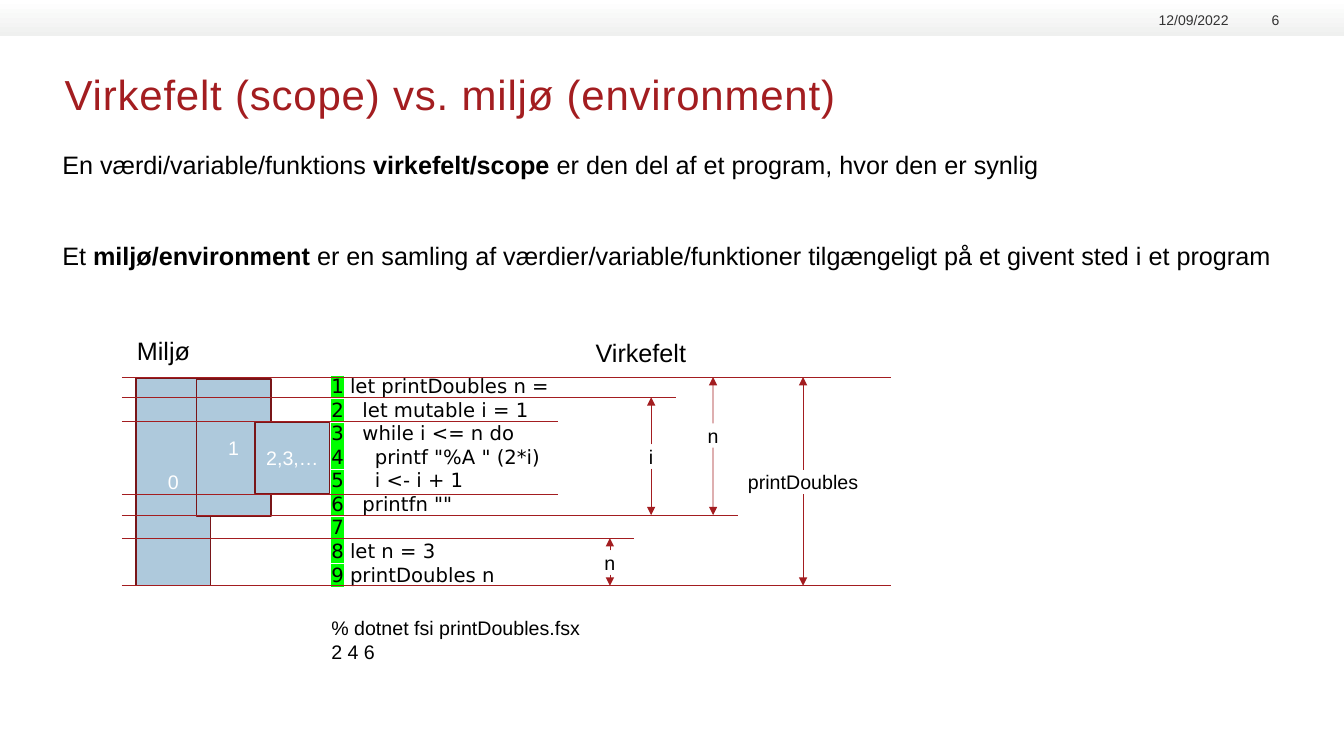
from lxml import etree
from pptx import Presentation
from pptx import util as u
from pptx.dml.color import RGBColor
from pptx.enum import shapes, text
from pptx.oxml import ns

Cm, Pt = u.Cm, u.Pt
LEFT, MID, RIGHT = text.PP_ALIGN.LEFT, text.PP_ALIGN.CENTER, text.PP_ALIGN.RIGHT
TOP, CORE, LOW = (text.MSO_ANCHOR.TOP, text.MSO_ANCHOR.MIDDLE,
                  text.MSO_ANCHOR.BOTTOM)
INK = {"red": "A31D20", "edge": "791518", "blue": "AEC9DC", "grey": "333333",
       "black": "000000", "white": "FFFFFF", "pale": "EFF0EF", "mark": "00FF00"}

CODE = ['1 let printDoubles n =', '2   let mutable i = 1',
        '3   while i <= n do', '4     printf "%A " (2*i)', '5     i <- i + 1',
        '6   printfn ""', '7', '8 let n = 3', '9 printDoubles n']
INTRO = [("En værdi/variable/funktions ", "virkefelt/scope",
          " er den del af et program, hvor den er synlig"),
         ("Et ", "miljø/environment",
          " er en samling af værdier/variable/funktioner tilgængeligt"
          " på et givent sted i et program")]
# Heights of the scope borders
HEAD, VAR, LOOP, DONE, END, MAIN, LAST = 9.5, 10.01, 10.62, 12.45, 12.98, 13.56, 14.76
EDGE = 3.07
RULES = [(HEAD, 22.45), (VAR, 17.04), (LOOP, 14.07), (DONE, 14.07),
         (END, 18.59), (MAIN, 15.98), (LAST, 22.45)]
# Name, centre, top, label top, bottom, label width
SCOPES = [("n", 17.97, HEAD, 10.67, END, 1.88),
          ("n", 15.37, MAIN, 13.87, LAST, 1.88),
          ("i", 16.41, VAR, 11.2, END, 1.88),
          ("printDoubles", 20.24, HEAD, 11.84, LAST, 3.38)]
# Name, left, top, height
FRAMES = [("0", 3.43, 9.53, 5.23), ("1", 4.95, 9.55, 3.45),
          ("2,3,…", 6.43, 10.64, 1.8)]


def tint(name):
    return RGBColor.from_string(INK[name])


def style(run, size, ink="black", face="Arial"):
    run.font.size = Pt(size)
    run.font.name = face
    run.font.color.rgb = tint(ink)


def mark(run):
    """Highlight a run that already has its colour."""
    tag = etree.Element(ns.qn("a:highlight"))
    etree.SubElement(tag, ns.qn("a:srgbClr")).set("val", INK["mark"])
    run.font._element.find(ns.qn("a:solidFill")).addnext(tag)


def frame(shape, anchor=TOP, pad=(0.25, 0.13)):
    tf = shape.text_frame
    tf.word_wrap = True
    tf.auto_size = text.MSO_AUTO_SIZE.NONE
    tf.vertical_anchor = anchor
    tf.margin_left = tf.margin_right = Cm(pad[0])
    tf.margin_top = tf.margin_bottom = Cm(pad[1])
    return tf


def write(tf, words, size, ink="black", align=LEFT):
    tf.text = words
    for para in tf.paragraphs:
        para.alignment = align
        for run in para.runs:
            style(run, size, ink)


def place(shape, *box):
    shape.left, shape.top, shape.width, shape.height = map(Cm, box)


def label(slide, box, words, size, ink="black", align=LEFT, anchor=TOP,
          pad=(0.25, 0.13)):
    shape = slide.shapes.add_textbox(*map(Cm, box))
    write(frame(shape, anchor, pad), words, size, ink, align)
    return shape


def rect(slide, *box):
    shape = slide.shapes.add_shape(shapes.MSO_SHAPE.RECTANGLE, *map(Cm, box))
    shape.shadow.inherit = False
    return shape


def line(slide, *ends):
    wire = slide.shapes.add_connector(shapes.MSO_CONNECTOR.STRAIGHT, *map(Cm, ends))
    wire.line.color.rgb = tint("red")
    wire.line.width = Pt(0.5)
    etree.SubElement(wire._element.spPr, ns.qn("a:effectLst"))
    return wire


def arrow(slide, tag, side, x, y, goal):
    wire = line(slide, x, y, x, goal)
    wire.begin_connect(tag, side)
    tip = etree.SubElement(wire.line._get_or_add_ln(), ns.qn("a:tailEnd"))
    tip.set("type", "triangle")


def scope(slide, name, x, top, y, low, wide):
    tall = 0.61
    tag = label(slide, (x - wide / 2, y, wide, tall), name, 14,
                align=MID, anchor=CORE, pad=(0, 0))
    arrow(slide, tag, 0, x, y, top)
    arrow(slide, tag, 2, x, y + tall, low)


def block(slide, name, x, y, tall):
    shape = rect(slide, x, y, 1.88, tall)
    shape.fill.solid()
    shape.fill.fore_color.rgb = tint("blue")
    shape.line.color.rgb = tint("edge")
    shape.line.width = Pt(1)
    write(frame(shape, CORE), name, 14, "white", MID)


def strip(slide):
    bar = rect(slide, 0, 0, 33.87, 0.91)
    bar.line.fill.background()
    bar.fill.gradient()
    bar.fill.gradient_angle = 270
    for stop, ink in zip(bar.fill.gradient_stops, ("white", "pale")):
        stop.color.rgb = tint(ink)
    for x, wide, words in ((28.7, 2.26, "12/09/2022"), (31.17, 1.07, "6")):
        label(slide, (x, 0.23, wide, 0.48), words, 10, "grey", RIGHT, LOW, (0, 0))


def intro(body):
    place(body, 1.32, 3.62, 31.7, 3.33)
    tf = frame(body)
    for k, parts in enumerate(INTRO):
        para = tf.add_paragraph() if k else tf.paragraphs[0]
        props = para._p.get_or_add_pPr()
        props.set("marL", "0")
        props.set("indent", "0")
        etree.SubElement(props, ns.qn("a:buNone"))
        para.space_before = Pt(43.4 * k)
        for part in parts:
            run = para.add_run()
            run.text = part
            style(run, 18)
            run.font.bold = part == parts[1]


def code(slide):
    tf = frame(slide.shapes.add_textbox(*map(Cm, (8.1, 9.3, 11.56, 5.64))))
    for k, row in enumerate(CODE):
        para = tf.add_paragraph() if k else tf.paragraphs[0]
        for part in filter(None, (row[0], row[1:])):
            run = para.add_run()
            run.text = part
            style(run, 14, face="DejaVu Sans")
        mark(para.runs[0])


def main():
    deck = Presentation()
    deck.slide_width, deck.slide_height = Cm(33.87), Cm(19.05)
    slide = deck.slides.add_slide(deck.slide_layouts[1])
    strip(slide)

    # Title and definitions
    title = slide.shapes.title
    place(title, 1.63, 1.73, 30.58, 2.41)
    write(frame(title, pad=(0, 0)), "Virkefelt (scope) vs. miljø (environment)",
          30, "red")
    title.text_frame.paragraphs[0].runs[0].font._element.set("spc", "60")
    intro(slide.placeholders[1])

    # Program with its environments and scopes
    code(slide)
    for item in FRAMES:
        block(slide, *item)
    for y, end in RULES:
        line(slide, EDGE, y, end, y)
    for item in SCOPES:
        scope(slide, *item)

    # Headings and program output
    label(slide, (3.2, 8.31, 1.93, 1.02), "Miljø", 18)
    label(slide, (14.76, 8.36, 2.87, 1.02), "Virkefelt", 18)
    label(slide, (8.1, 15.39, 6.86, 1.45),
          "% dotnet fsi printDoubles.fsx\n2 4 6", 14)
    deck.save("out.pptx")


if __name__ == "__main__":
    main()
